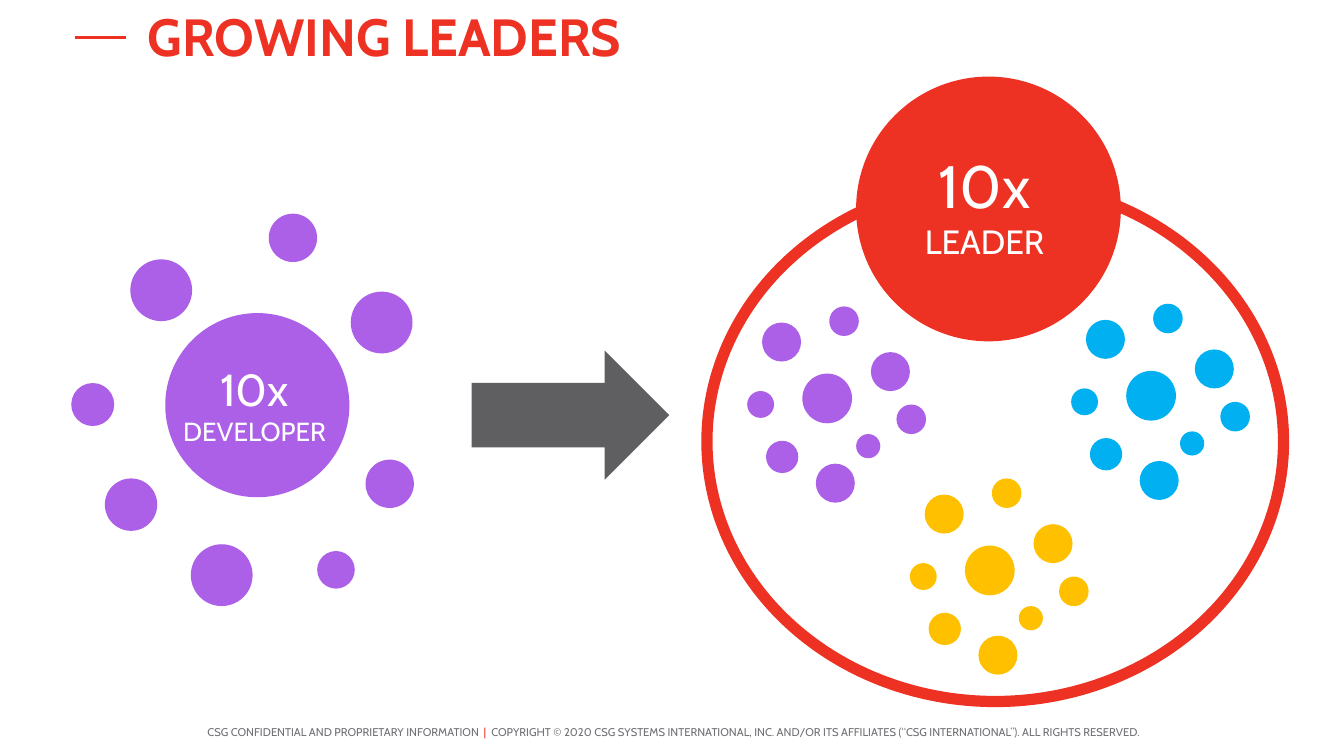
"""Build the slide on growing a 10x developer into a 10x leader."""
from pptx import Presentation
from pptx.dml.color import RGBColor
from pptx.enum.shapes import MSO_CONNECTOR, MSO_SHAPE as Shape
from pptx.enum.text import MSO_ANCHOR as Anchor, PP_ALIGN as Align
from pptx.oxml import parse_xml
from pptx.oxml.ns import nsdecls
from pptx.util import Inches, Pt

RED, PURPLE, YELLOW, BLUE = "ED3123", "AC5FE7", "FFC000", "00B0F0"
WHITE, DARK, GRAY = "FFFFFF", "5F5F61", "707075"
hex_color = RGBColor.from_string


def add_figure(parent, kind, left, top, width, height, fill=None, line=None):
    figure = parent.add_shape(kind, Inches(left), Inches(top), Inches(width), Inches(height))
    figure.shadow.inherit = False
    if fill:
        figure.fill.solid()
        figure.fill.fore_color.rgb = hex_color(fill)
    else:
        figure.fill.background()
    if line:
        figure.line.color.rgb = hex_color(line)
        figure.line.width = Pt(6)
    else:
        figure.line.fill.background()


def add_text(parent, left, top, width, height, paragraphs, bold=False,
             align=Align.CENTER, anchor=Anchor.TOP):
    box = parent.add_textbox(Inches(left), Inches(top), Inches(width), Inches(height))
    frame = box.text_frame
    frame.word_wrap = True
    frame.vertical_anchor = anchor
    for index, runs in enumerate(paragraphs):
        paragraph = frame.add_paragraph() if index else frame.paragraphs[0]
        paragraph.alignment = align
        for text, size, color in runs:
            run = paragraph.add_run()
            run.text = text
            run.font.name = "Cabin"
            run.font.size = Pt(size)
            run.font.bold = bold
            run.font.color.rgb = hex_color(color)


deck = Presentation()
deck.slide_width, deck.slide_height = Inches(10), Inches(10) * 9 // 16
slide = deck.slides.add_slide(deck.slide_layouts[6])
shapes = slide.shapes

add_text(shapes, 0, 5.33, 10, 0.24, [[
    (" CSG CONFIDENTIAL AND PROPRIETARY INFORMATION ", 6, GRAY),
    (" | ", 6, RED),
    (" COPYRIGHT © 2020 CSG SYSTEMS INTERNATIONAL, INC. AND/OR ITS AFFILIATES "
     "(“CSG INTERNATIONAL”). ALL RIGHTS RESERVED.", 6, GRAY),
]], anchor=Anchor.MIDDLE)

title_dash = shapes.add_connector(
    MSO_CONNECTOR.STRAIGHT, Inches(0.94), Inches(0.28), Inches(0.56), Inches(0.28))
title_dash.line.color.rgb = hex_color(RED)
title_dash.line.width = Pt(1.75)
title_dash._element.spPr.append(parse_xml(f"<a:effectLst {nsdecls('a')}/>"))
add_text(shapes, 1, -0.02, 8.22, 0.57, [[("GROWING LEADERS", 28, RED)]],
         bold=True, align=Align.LEFT)

developer = shapes.add_group_shape().shapes
add_figure(developer, Shape.OVAL, 1.23, 2.33, 1.37, 1.37, PURPLE)
add_text(developer, 1.21, 2.64, 1.37, 0.74,
         [[("10x", 24, WHITE), (" DEVELOPER", 14, WHITE)]])

developer_satellites = [
    (1.42, 4.05, 0.46), (2.72, 3.42, 0.36), (0.53, 2.85, 0.32), (2.61, 2.17, 0.46),
    (2, 1.59, 0.36), (0.78, 3.56, 0.39), (2.36, 4.1, 0.28), (0.97, 1.93, 0.46),
]
for left, top, size in developer_satellites:
    add_figure(shapes, Shape.OVAL, left, top, size, size, PURPLE)

add_figure(shapes, Shape.RIGHT_ARROW, 3.51, 2.61, 1.47, 0.96, DARK)

team_members = [
    (0, 0, 0.37), (0.1, 0.67, 0.29), (0.7, 0.23, 0.22), (-0.41, 0.13, 0.2),
    (0.51, -0.16, 0.29), (0.2, -0.5, 0.22), (-0.27, 0.5, 0.24), (0.4, 0.45, 0.18),
    (-0.3, -0.38, 0.29),
]
for team_left, team_top, color in [(5.97, 2.78, PURPLE), (7.18, 4.06, YELLOW), (8.38, 2.76, BLUE)]:
    team = shapes.add_group_shape().shapes
    for dx, dy, size in team_members:
        add_figure(team, Shape.OVAL, team_left + dx, team_top + dy, size, size, color)

add_figure(shapes, Shape.OVAL, 5.26, 1.35, 4.29, 3.87, line=RED)
leader = shapes.add_group_shape().shapes
add_figure(leader, Shape.OVAL, 6.37, 0.57, 1.97, 1.97, RED)
add_text(leader, 6.64, 1.06, 1.37, 0.94, [[("10x", 32, WHITE)], [("LEADER", 18, WHITE)]])

deck.save("out.pptx")
